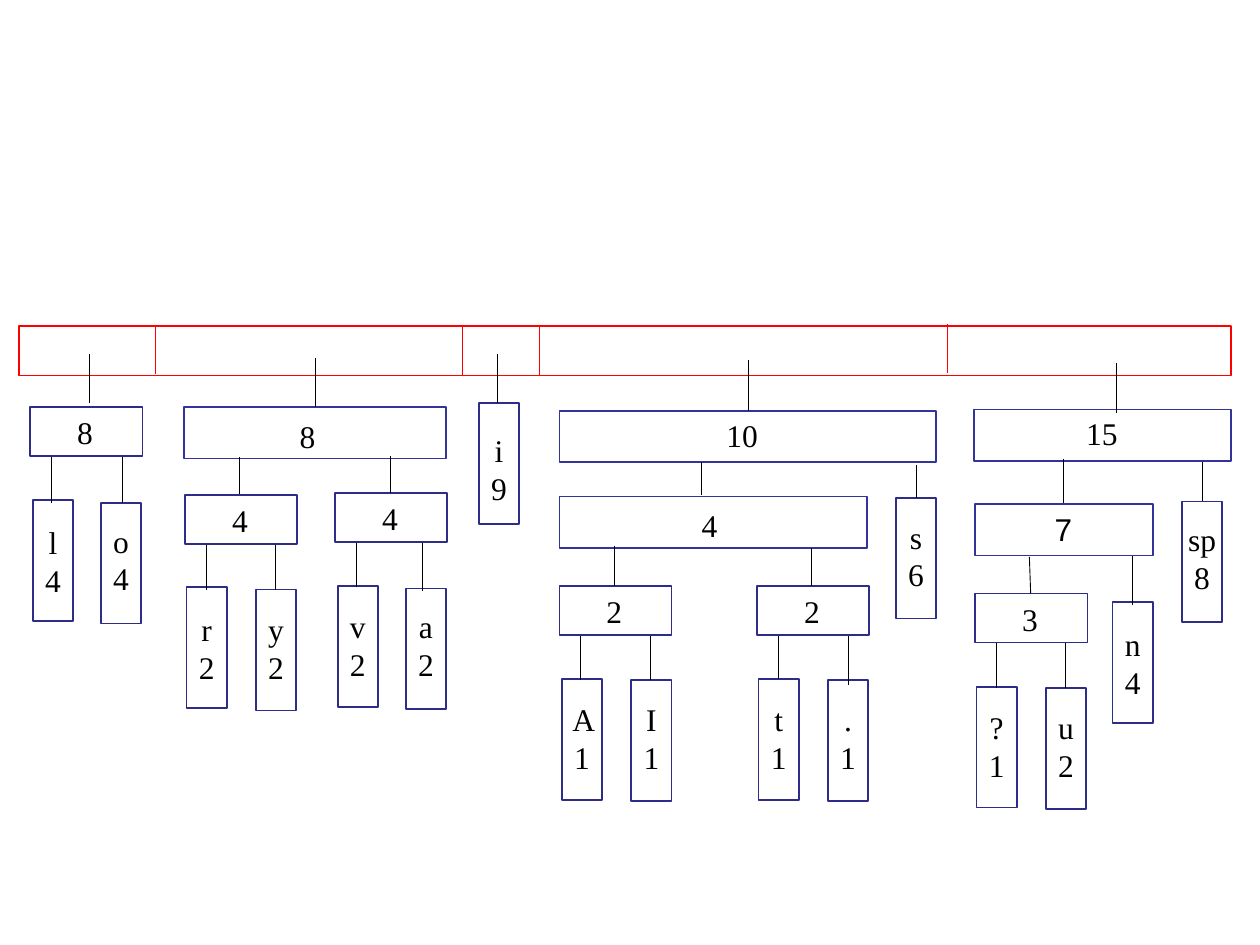
from lxml.etree import SubElement
from pptx import Presentation
from pptx.dml.color import RGBColor
from pptx.enum.shapes import MSO_CONNECTOR, MSO_SHAPE
from pptx.enum.text import MSO_AUTO_SIZE, PP_ALIGN
from pptx.oxml.ns import qn
from pptx.util import Inches, Pt

HUES = {"paper": "FFFFFF", "root": "FF0000", "node": "2D2D89",
        "wide": "333399", "ink": "000000"}
FRAME = {"word_wrap": True, "auto_size": MSO_AUTO_SIZE.SHAPE_TO_FIT_TEXT}
FONT = {"name": "Times New Roman", "size": Pt(18)}

deck = Presentation()
deck.slide_width, deck.slide_height = Inches(10), Inches(7.5)
slide = deck.slides.add_slide(deck.slide_layouts[6])
shapes = slide.shapes


def add_box(x, y, w, h, hue):
    box = shapes.add_shape(MSO_SHAPE.RECTANGLE, Inches(x), Inches(y), Inches(w), Inches(h))
    box.shadow.inherit = False
    box.fill.solid()
    box.fill.fore_color.rgb = RGBColor.from_string(HUES["paper"])
    box.line.color.rgb = RGBColor.from_string(HUES[hue])
    box.line.width = Pt(1)


def add_line(x, top, end, low, hue):
    line = shapes.add_connector(MSO_CONNECTOR.STRAIGHT, Inches(x), Inches(top),
                                Inches(end), Inches(low))
    line.line.color.rgb = RGBColor.from_string(HUES[hue])
    line.line.width = Pt(0.5)
    SubElement(line._element.spPr, qn("a:effectLst"))


# Root bar with its dividers
add_box(0.15, 2.59, 9.62, 0.39, "root")
for x, top in [(1.23, 2.58), (3.67, 2.59), (4.28, 2.59), (7.52, 2.57)]:
    add_line(x, top, x, top + 0.39, "root")

# Leaves: text, box left, box top, text top, text width
labels = []
leaves = [
    ("l4", 0.26, 3.97, 4.1, 0.35), ("o4", 0.8, 3.99, 4.09, 0.35),
    ("r2", 1.48, 4.66, 4.79, 0.35), ("y\n2", 2.03, 4.68, 4.79, 0.35),
    ("v\n2", 2.68, 4.65, 4.77, 0.35), ("a2", 3.22, 4.67, 4.77, 0.35),
    ("i\n9", 3.8, 3.2, 3.37, 0.62),
    ("A\n1", 4.46, 5.39, 5.51, 0.35), ("I1", 5.01, 5.4, 5.51, 0.35),
    ("t\n1", 6.02, 5.39, 5.51, 0.35), (".1", 6.57, 5.4, 5.51, 0.35),
    ("s6", 7.11, 3.95, 4.06, 0.32),
    ("?1", 7.75, 5.45, 5.57, 0.35), ("u2", 8.3, 5.46, 5.57, 0.35),
    ("n4", 8.83, 4.78, 4.91, 0.35), ("sp\n8", 9.38, 3.98, 4.08, 0.62),
]
for text, x, y, top, wide in leaves:
    add_box(x, y, 0.32, 0.96, "node")
    labels.append((text, x + 0.16 - wide / 2, top, wide, 0.7))

# Stems above the leaves: x, top, length
stems = [
    (0.41, 3.59, 0.4), (0.97, 3.59, 0.4), (1.64, 4.29, 0.39), (2.19, 4.29, 0.39),
    (2.83, 4.27, 0.39), (3.35, 4.29, 0.4), (3.95, 2.81, 0.39),
    (4.61, 5.01, 0.39), (5.16, 5.01, 0.39), (6.18, 4.99, 0.4), (6.73, 5.05, 0.39),
    (7.27, 3.69, 0.26), (7.91, 5.07, 0.39), (8.46, 5.07, 0.39),
    (8.99, 4.41, 0.39), (9.54, 3.59, 0.39),
]
for x, top, size in stems:
    add_line(x, top, x, top + size, "ink")

# Small sums: text, left, top
sums = [("8", 0.24, 3.23), ("4", 1.47, 3.93), ("4", 2.66, 3.91),
        ("2", 4.44, 4.65), ("2", 6.01, 4.65), ("3", 7.74, 4.71)]
for text, x, y in sums:
    add_box(x, y, 0.89, 0.39, "node")
    labels.append((text, x + 0.09, y, 0.69, 0.4))

# Wide sums: text, box left, top and width, text left, top and width
wides = [
    ("8", 1.46, 3.23, 2.08, 2.13, 3.26, 0.62),
    ("4", 4.44, 3.94, 2.44, 4.82, 3.97, 1.62),
    ("10", 4.44, 3.26, 2.99, 5.61, 3.25, 0.56),
    ("7", 7.74, 4, 1.41, 7.88, 4, 1.12),
    ("15", 7.73, 3.25, 2.04, 8.4, 3.24, 0.69),
]
for text, x, y, wide, left, top, span in wides:
    add_box(x, y, wide, 0.41, "wide")
    labels.append((text, left, top, span, 0.4))

# Links above the sums: x, top, end x, bottom
links = [
    (0.71, 2.81, 0.71, 3.2), (2.5, 2.84, 2.5, 3.23), (5.94, 2.86, 5.94, 3.26),
    (8.86, 2.88, 8.86, 3.28), (1.9, 3.63, 1.9, 3.92), (3.1, 3.62, 3.1, 3.91),
    (5.57, 3.67, 5.57, 3.93), (4.88, 4.33, 4.88, 4.65), (6.44, 4.35, 6.44, 4.65),
    (8.44, 3.64, 8.44, 3.99), (8.17, 4.42, 8.18, 4.71),
]
for link in links:
    add_line(*link, "ink")

# Labels
for text, *place in labels:
    frame = shapes.add_textbox(*map(Inches, place)).text_frame
    for key, value in FRAME.items():
        setattr(frame, key, value)
    frame.text = text
    for para in frame.paragraphs:
        para.alignment = PP_ALIGN.CENTER
        font = para.runs[0].font
        for key, value in FONT.items():
            setattr(font, key, value)
        if text == "7":
            font.name = "Arial"
        font.color.rgb = RGBColor.from_string(HUES["ink"])

deck.save("out.pptx")
